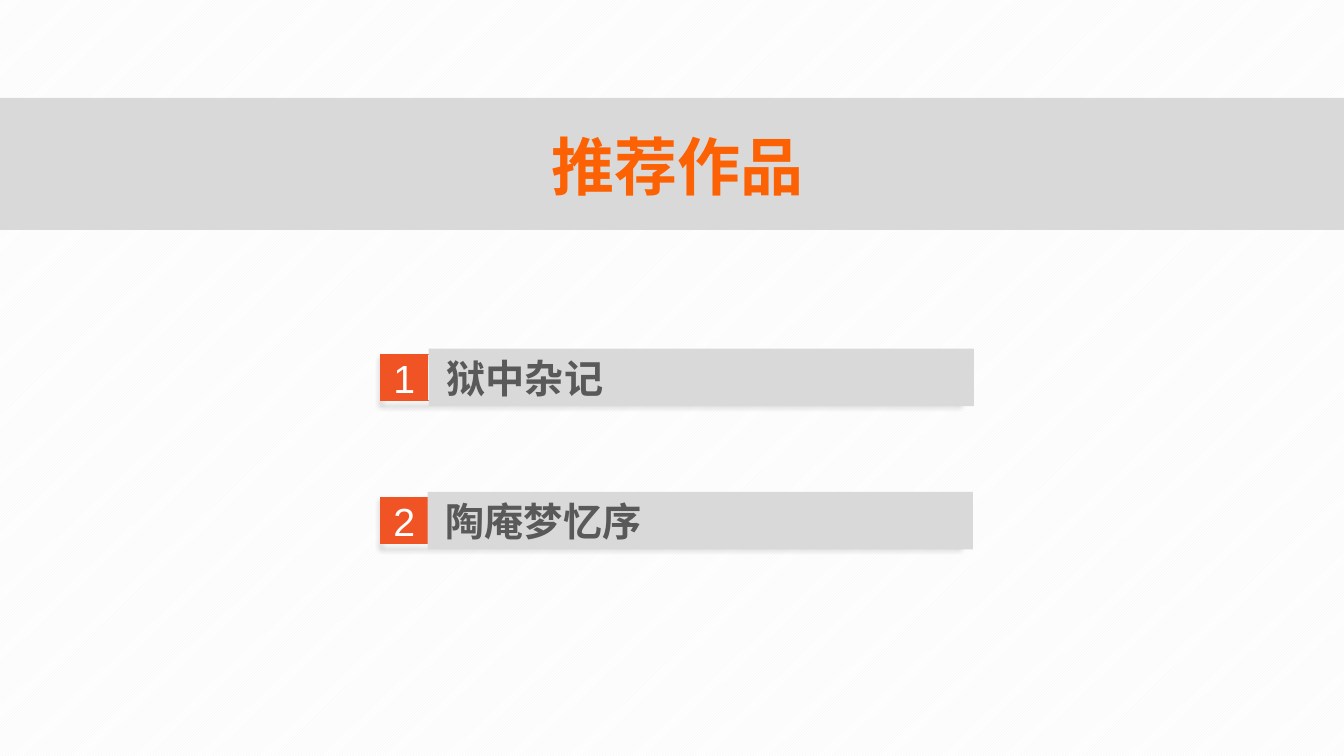
from lxml.etree import SubElement
from pptx import Presentation
from pptx.dml.color import RGBColor
from pptx.enum.dml import MSO_PATTERN
from pptx.enum.shapes import MSO_SHAPE
from pptx.enum.text import MSO_ANCHOR, MSO_AUTO_SIZE, PP_ALIGN
from pptx.oxml.ns import qn
from pptx.util import Inches, Pt

TITLE = "推荐作品"
WORKS = [
    # number, name, Latin font, row top, bar left
    ("1", "狱中杂记", "Times New Roman", 3.46, 4.25),
    ("2", "陶庵梦忆序", "Noto Sans CJK SC", 4.88, 4.24),
]
CJK_FONT = "Noto Sans CJK SC"

WIDTH, HEIGHT = 13.33, 7.5
MARK_LEFT, MARK_SIZE = 3.78, 0.46
FRAME_WIDTH = 5.73
BAR_WIDTH, BAR_HEIGHT = 5.41, 0.57

WHITE = RGBColor(0xFF, 0xFF, 0xFF)
PALE = RGBColor(0xF2, 0xF2, 0xF2)
GREY = RGBColor(0xD9, 0xD9, 0xD9)
DARK = RGBColor(0x59, 0x59, 0x59)
RED = RGBColor(0xF0, 0x54, 0x25)
ORANGE = RGBColor(0xFC, 0x62, 0x04)


def add_block(page, left, top, width, height, fill=None, line=None):
    block = page.shapes.add_shape(
        MSO_SHAPE.RECTANGLE, *map(Inches, (left, top, width, height)))
    block.shadow.inherit = False
    if fill is None:
        block.fill.background()
    else:
        block.fill.solid()
        block.fill.fore_color.rgb = fill
    if line is None:
        block.line.fill.background()
    else:
        block.line.color.rgb = line
        block.line.width = Pt(1)
    return block


def drop_shadow(block):
    """Cast a soft black shadow straight down."""
    effects = block.element.spPr.find(qn("a:effectLst"))
    shadow = SubElement(effects, qn("a:outerShdw"), blurRad=str(Pt(4)),
                        dist=str(Pt(3)), dir="5400000", rotWithShape="0")
    black = SubElement(shadow, qn("a:srgbClr"), val="000000")
    SubElement(black, qn("a:alpha"), val="40000")


def write(block, text, size, font, color, align, bold=False, inset=0.0):
    frame = block.text_frame
    frame.text = text
    frame.word_wrap = True
    frame.auto_size = MSO_AUTO_SIZE.NONE
    frame.vertical_anchor = MSO_ANCHOR.MIDDLE
    frame.margin_left = Inches(inset)
    frame.margin_right = frame.margin_top = frame.margin_bottom = 0
    para = frame.paragraphs[0]
    para.alignment = align
    para.space_before = Pt(0)
    span = para.runs[0]
    span.font.size = Pt(size)
    span.font.bold = bold
    span.font.color.rgb = color
    span.font.name = font
    SubElement(span.font._element, qn("a:ea"), typeface=CJK_FONT)


def add_work(page, number, name, font, top, bar_left):
    mark_top = top + (BAR_HEIGHT - MARK_SIZE) / 2
    frame = add_block(page, MARK_LEFT, mark_top, FRAME_WIDTH, MARK_SIZE, line=RED)
    drop_shadow(frame)
    mark = add_block(page, MARK_LEFT, mark_top, MARK_SIZE, MARK_SIZE, RED, RED)
    write(mark, number, 28, "Arial", WHITE, PP_ALIGN.CENTER)
    bar = add_block(page, bar_left, top, BAR_WIDTH, BAR_HEIGHT, GREY)
    write(bar, name, 28, font, DARK, PP_ALIGN.LEFT, bold=True, inset=0.18)


def main():
    deck = Presentation()
    deck.slide_width, deck.slide_height = Inches(WIDTH), Inches(HEIGHT)
    page = deck.slides.add_slide(deck.slide_layouts[5])

    backdrop = page.background.fill
    backdrop.patterned()
    backdrop.pattern = MSO_PATTERN.LIGHT_UPWARD_DIAGONAL
    backdrop.fore_color.rgb = PALE
    backdrop.back_color.rgb = WHITE

    add_block(page, 0, 0.97, WIDTH, 1.31, GREY)
    for work in WORKS:
        add_work(page, *work)

    title = page.shapes.title
    title.left, title.top = Inches(2.87), Inches(1.23)
    title.width, title.height = Inches(7.69), Inches(0.82)
    write(title, TITLE, 45, "Times New Roman", ORANGE, PP_ALIGN.CENTER, bold=True)
    page.shapes.element.append(title.element)  # in front of the band

    deck.save("out.pptx")


if __name__ == "__main__":
    main()
